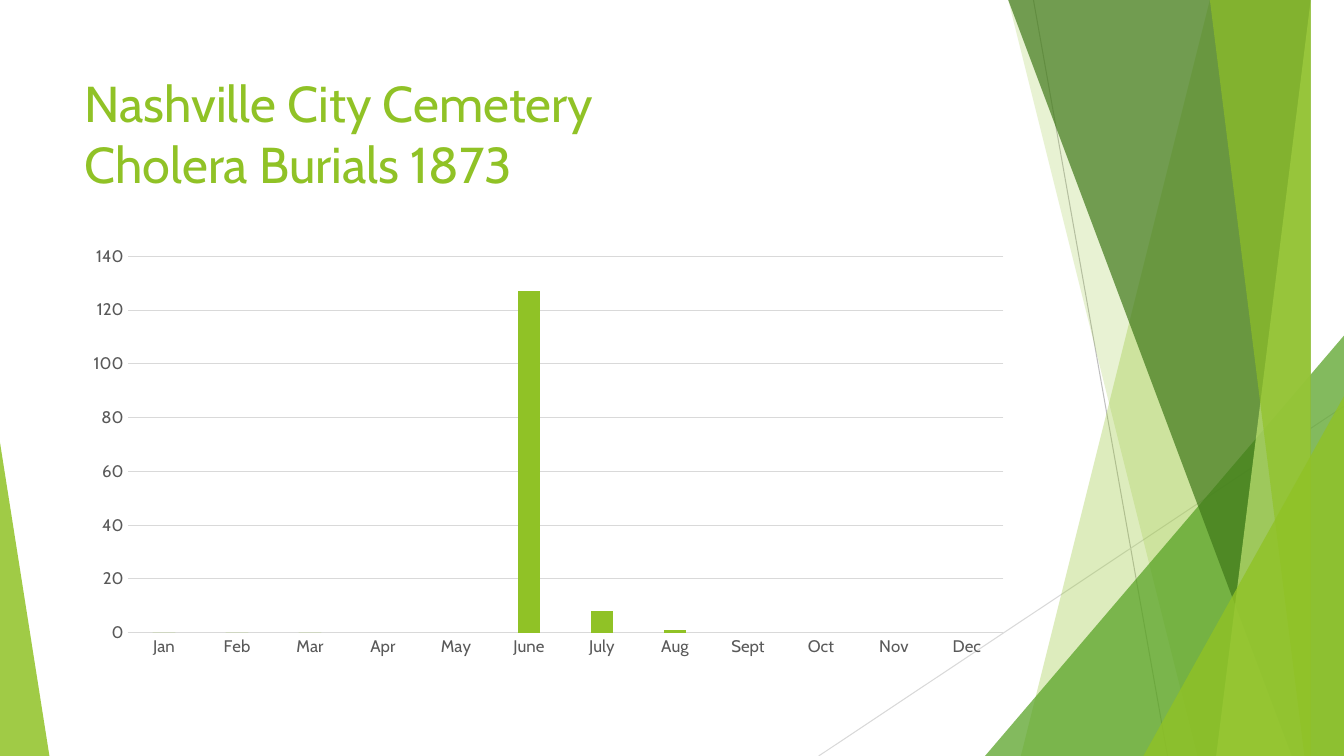
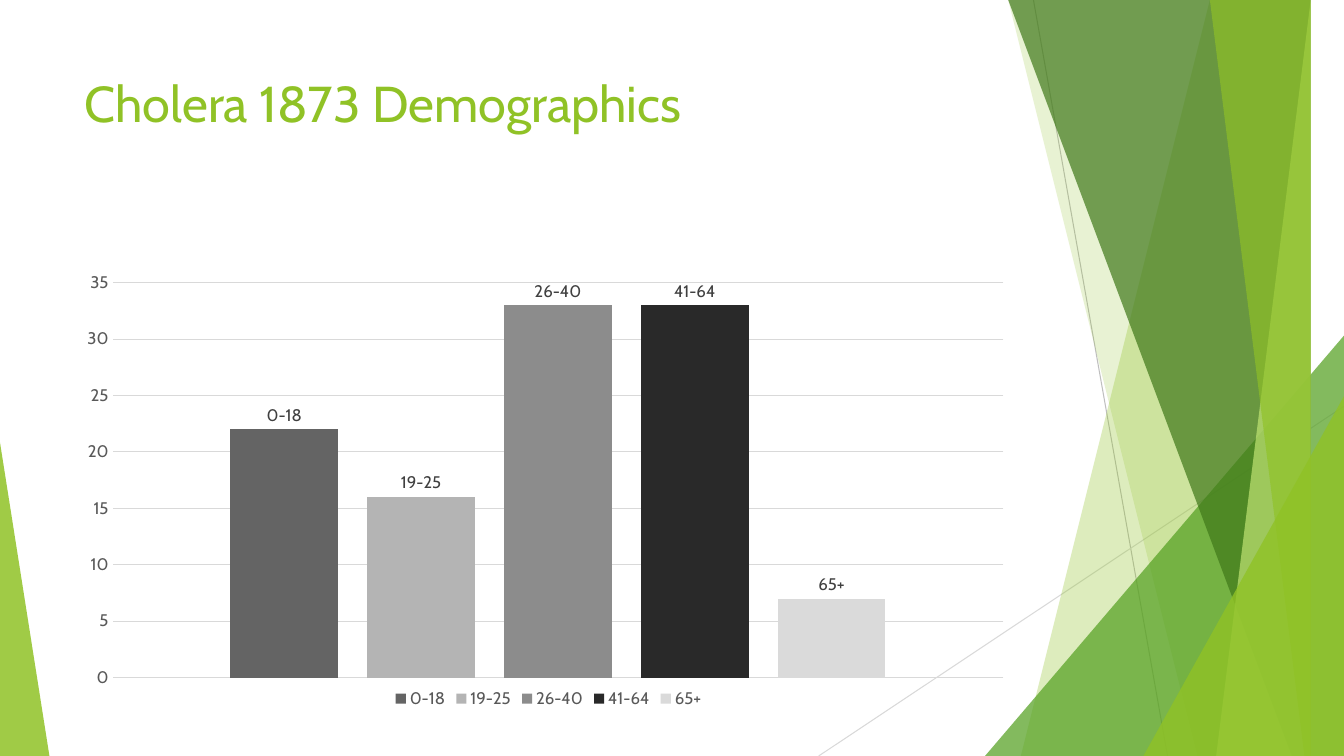
from lxml import etree
from pptx import Presentation
from pptx import util as u
from pptx.chart.data import CategoryChartData
from pptx.dml.color import RGBColor
from pptx.enum import chart as ch, shapes, text
from pptx.oxml import parse_xml
from pptx.oxml.ns import nsdecls, qn

# Shared style
FONT = "Cabin"
GREEN, LEAF, PINE, LIME = "90C226", "54A021", "3F7819", "C0E474"
RULE, LABEL, DARK = "D9D9D9", "595959", "404040"
WIDE, HIGH, TOP = 13.33, 7.5, -0.01
LEFT, SPAN = 0.74, 9.4

# Bands run to the right edge: top x, bottom x, colour, opacity
BACK = [(12.28, 10.04, GREEN, 30), (10.5, 11.83, GREEN, 20)]
FRONT = [(10.21, 12.91, PINE, 70), (13.03, 11.92, LIME, 70),
         (11.96, 13.18, GREEN, 65)]


def rgb(color):
    return RGBColor.from_string(color)


def style(font, size, color):
    font.name, font.size = FONT, u.Pt(size)
    font.color.rgb = rgb(color)


def stroke(line, color):
    line.color.rgb = rgb(color)
    line.width = u.Pt(0.75)


def tint(shape, color, alpha):
    shape.shadow.inherit = False
    shape.line.fill.background()
    shape.fill.solid()
    shape.fill.fore_color.rgb = rgb(color)
    node = shape.fill._xPr.find(qn("a:solidFill"))[0]
    etree.SubElement(node, qn("a:alpha")).set("val", str(alpha * 1000))


# Background parts
def ray(slide, start, end, color):
    ends = [u.Inches(n) for n in start + end]
    line = slide.shapes.add_connector(shapes.MSO_CONNECTOR.STRAIGHT, *ends)
    stroke(line.line, color)
    etree.SubElement(line._element.spPr, qn("a:effectLst"))


def band(slide, top, base, color, alpha):
    pen = slide.shapes.build_freeform(top, TOP, scale=u.Inches(1))
    pen.add_line_segments([(WIDE, TOP), (WIDE, HIGH), (base, HIGH)])
    tint(pen.convert_to_shape(), color, alpha)


def wedge(slide, left, top, width, peak, color, alpha):
    box = [u.Inches(n) for n in (left, top, width, HIGH - top)]
    shape = slide.shapes.add_shape(
        shapes.MSO_SHAPE.ISOSCELES_TRIANGLE, *box)
    shape.adjustments[0] = peak
    tint(shape, color, alpha)


def decor(slide):
    ray(slide, (10.25, 0), (11.58, HIGH), "BFBFBF")
    ray(slide, (WIDE, 4.03), (8.12, HIGH), RULE)
    for item in BACK:
        band(slide, *item)
    wedge(slide, 9.77, 3.33, 3.56, 1, LEAF, 72)
    for item in FRONT:
        band(slide, *item)
    wedge(slide, 11.34, 3.93, 1.99, 1, GREEN, 80)
    wedge(slide, 0, 4.39, 0.49, 0, GREEN, 85)


def title(slide, lines):
    box = [u.Inches(n) for n in (LEFT, 0.67, SPAN, 1.44)]
    frame = slide.shapes.add_textbox(*box).text_frame
    frame.word_wrap = True
    frame.vertical_anchor = text.MSO_ANCHOR.TOP
    para = frame.paragraphs[0]
    for i, line in enumerate(lines):
        if i:
            para.add_line_break()
        run = para.add_run()
        run.text = line
        style(run.font, 36, GREEN)


def page(deck, lines):
    slide = deck.slides.add_slide(deck.slide_layouts[6])
    decor(slide)
    title(slide, lines)
    return slide


# Charts
def columns(slide, top, height, cats, series, peak, step):
    """Add a column chart; series holds (name, values, colour)."""
    data = CategoryChartData()
    data.categories = cats
    for name, vals, _ in series:
        data.add_series(name, vals)
    box = [u.Inches(n) for n in (LEFT, top, SPAN, height)]
    chart = slide.shapes.add_chart(
        ch.XL_CHART_TYPE.COLUMN_CLUSTERED, *box, data).chart
    chart.has_title = chart.has_legend = False
    style(chart.font, 10, "000000")
    plot = chart.plots[0]
    plot.gap_width, plot.overlap = 219, -27
    plot.vary_by_categories = False
    for ser, (_, _, color) in zip(plot.series, series):
        ser.invert_if_negative = False
        ser.format.fill.solid()
        ser.format.fill.fore_color.rgb = rgb(color)
    for axis in (chart.category_axis, chart.value_axis):
        axis.major_tick_mark = axis.minor_tick_mark = ch.XL_TICK_MARK.NONE
        style(axis.tick_labels.font, 12, LABEL)
    stroke(chart.category_axis.format.line, RULE)
    scale = chart.value_axis
    scale.minimum_scale, scale.maximum_scale = 0, peak
    scale.major_unit = step
    scale.format.line.fill.background()
    stroke(scale.major_gridlines.format.line, RULE)
    return chart


def legend(chart):
    chart.has_legend = True
    chart.legend.position = ch.XL_LEGEND_POSITION.BOTTOM
    chart.legend.include_in_layout = False
    style(chart.legend.font, 12, LABEL)


def names(chart):
    for ser in chart.plots[0].series:
        labels = ser.data_labels
        labels.show_value, labels.show_series_name = False, True
        labels.position = ch.XL_LABEL_POSITION.OUTSIDE_END
        style(labels.font, 12, DARK)


def inner(chart, *box):
    """Fix the plot area as fractions of the chart: x, y, w, h."""
    area = chart._chartSpace.chart.plotArea
    for old in area.findall(qn("c:layout")):
        area.remove(old)
    tags = [("layoutTarget", "inner"), ("xMode", "edge"), ("yMode", "edge")]
    tags += zip("xywh", box)
    body = "".join(f'<c:{tag} val="{val}"/>' for tag, val in tags)
    area.insert(0, parse_xml(
        f'<c:layout {nsdecls("c")}><c:manualLayout>{body}'
        '</c:manualLayout></c:layout>'))


# Slides
def burials(deck):
    slide = page(deck, ["Nashville City Cemetery ", "Cholera Burials 1873"])
    months = "Jan Feb Mar Apr May June July Aug Sept Oct Nov Dec".split()
    vals = [0, 0, 0, None, None, 127, 8, 1, None, None, None, None]
    columns(slide, 2.36, 4.24, months, [("Series 1", vals, GREEN)], 140, 20)


def ages(deck):
    slide = page(deck, ["Cholera 1873 Demographics"])
    groups = [("0-18", [22], "646464"), ("19-25", [16], "B4B4B4"),
              ("26-40", [33], "8C8C8C"), ("41-64", [33], "292929"),
              ("65+", [7], "DADADA")]
    chart = columns(slide, 2.11, 4.96, ["1"], groups, 35, 5)
    chart.category_axis.visible = False
    legend(chart)
    names(chart)
    inner(chart, 0.04, 0.14, 0.94, 0.79)


def main():
    deck = Presentation()
    deck.slide_width, deck.slide_height = u.Inches(WIDE), u.Inches(HIGH)
    burials(deck)
    ages(deck)
    deck.save("out.pptx")


if __name__ == "__main__":
    main()
